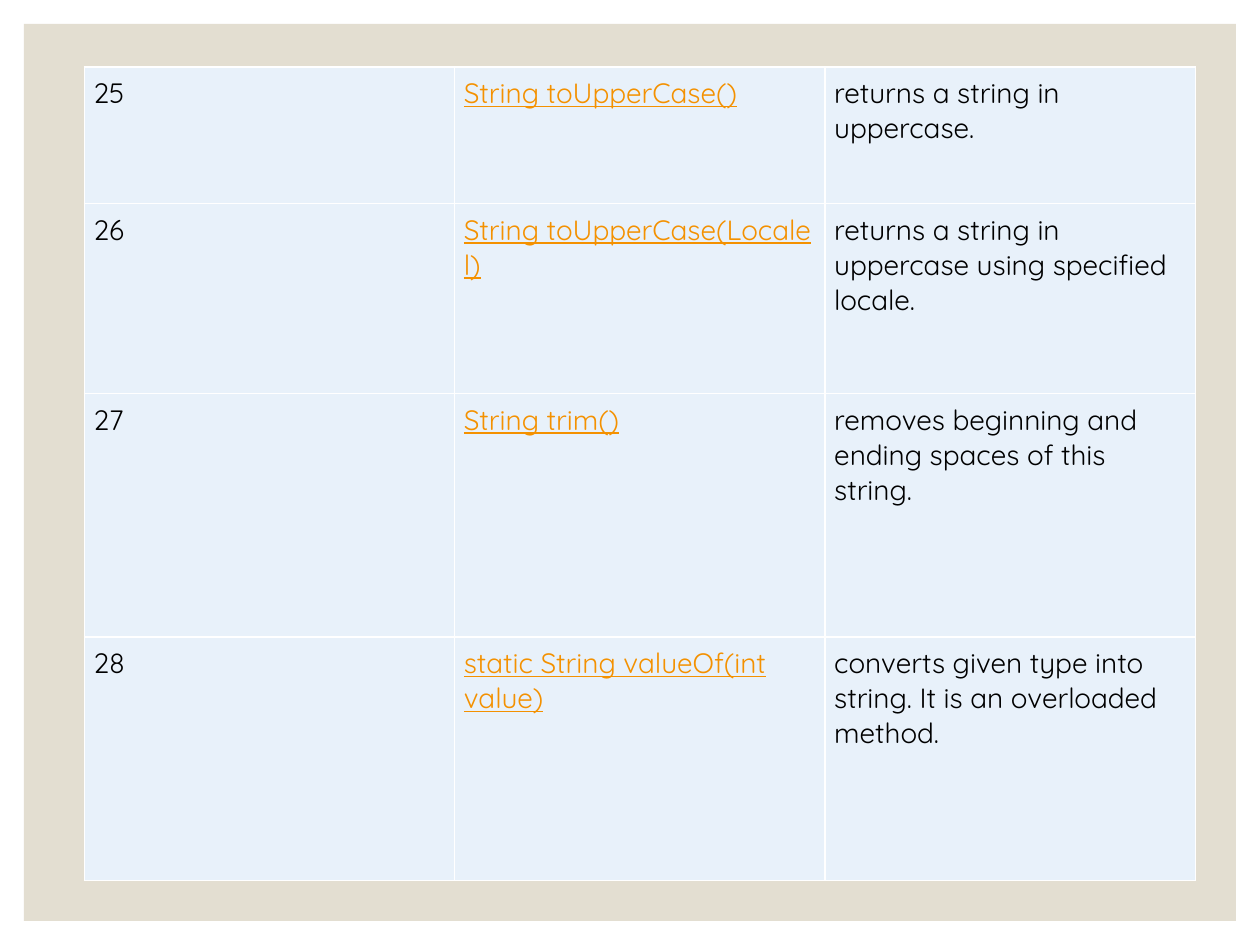
from pptx import Presentation
from pptx import util as u
from pptx.dml.color import RGBColor
from pptx.enum import shapes
from pptx.oxml import parse_xml
from pptx.oxml.ns import nsdecls


def rgb(value):
    return RGBColor.from_string(value)


class Deck:
    font, size = "Quicksand", 16
    ink, link, cell_fill, border, panel_fill = "000000", "F49100", "E8F1FA", "FFFFFF", "E3DED1"

    def __init__(self, width, height):
        self.prs = Presentation()
        self.prs.slide_width, self.prs.slide_height = u.Pt(width), u.Pt(height)
        self.slide = self.prs.slides.add_slide(self.prs.slide_layouts[6])

    def panel(self, *box):
        sp = self.slide.shapes.add_shape(shapes.MSO_SHAPE.RECTANGLE, *map(u.Pt, box))
        sp.shadow.inherit = False
        sp.fill.solid()
        sp.fill.fore_color.rgb = rgb(self.panel_fill)
        sp.line.fill.background()

    def borders(self, cell):
        props = cell._tc.get_or_add_tcPr()
        for i, side in enumerate(("lnL", "lnR", "lnT", "lnB")):
            props.insert(i, parse_xml(
                f'<a:{side} {nsdecls("a")} w="{u.Pt(1)}"><a:solidFill>'
                f'<a:srgbClr val="{self.border}"/></a:solidFill></a:{side}>'))

    def cell(self, cell, content, is_link):
        cell.fill.solid()
        cell.fill.fore_color.rgb = rgb(self.cell_fill)
        cell.margin_left = cell.margin_right = u.Pt(5.2)
        cell.margin_top = cell.margin_bottom = u.Pt(5.2)
        self.borders(cell)
        cell.text_frame.text = content
        font = cell.text_frame.paragraphs[0].runs[0].font
        font.name, font.size, font.underline = self.font, u.Pt(self.size), is_link
        font.color.rgb = rgb(self.link if is_link else self.ink)

    def table(self, left, top, width, heights, rows, link_column):
        columns = len(rows[0])
        frame = self.slide.shapes.add_table(
            len(rows), columns, *map(u.Pt, (left, top, width, sum(heights))))
        table = frame.table
        table.first_row = table.horz_banding = False
        for column in table.columns:
            column.width = u.Pt(width / columns)
        for r, (height, row) in enumerate(zip(heights, rows)):
            table.rows[r].height = u.Pt(height)
            for c, content in enumerate(row):
                self.cell(table.cell(r, c), content, c == link_column)


METHODS = [
    ("25", "String toUpperCase()", "returns a string in uppercase."),
    ("26", "String toUpperCase(Locale l)", "returns a string in uppercase using specified locale."),
    ("27", "String trim()", "removes beginning and ending spaces of this string."),
    ("28", "static String valueOf(int value)",
     "converts given type into string. It is an overloaded method."),
]

deck = Deck(720, 540)
deck.panel(13.7, 13.7, 692.6, 512.6)
deck.table(48.2, 38.2, 635, [78, 108.6, 139.2, 139.2], METHODS, link_column=1)
deck.prs.save("out.pptx")
